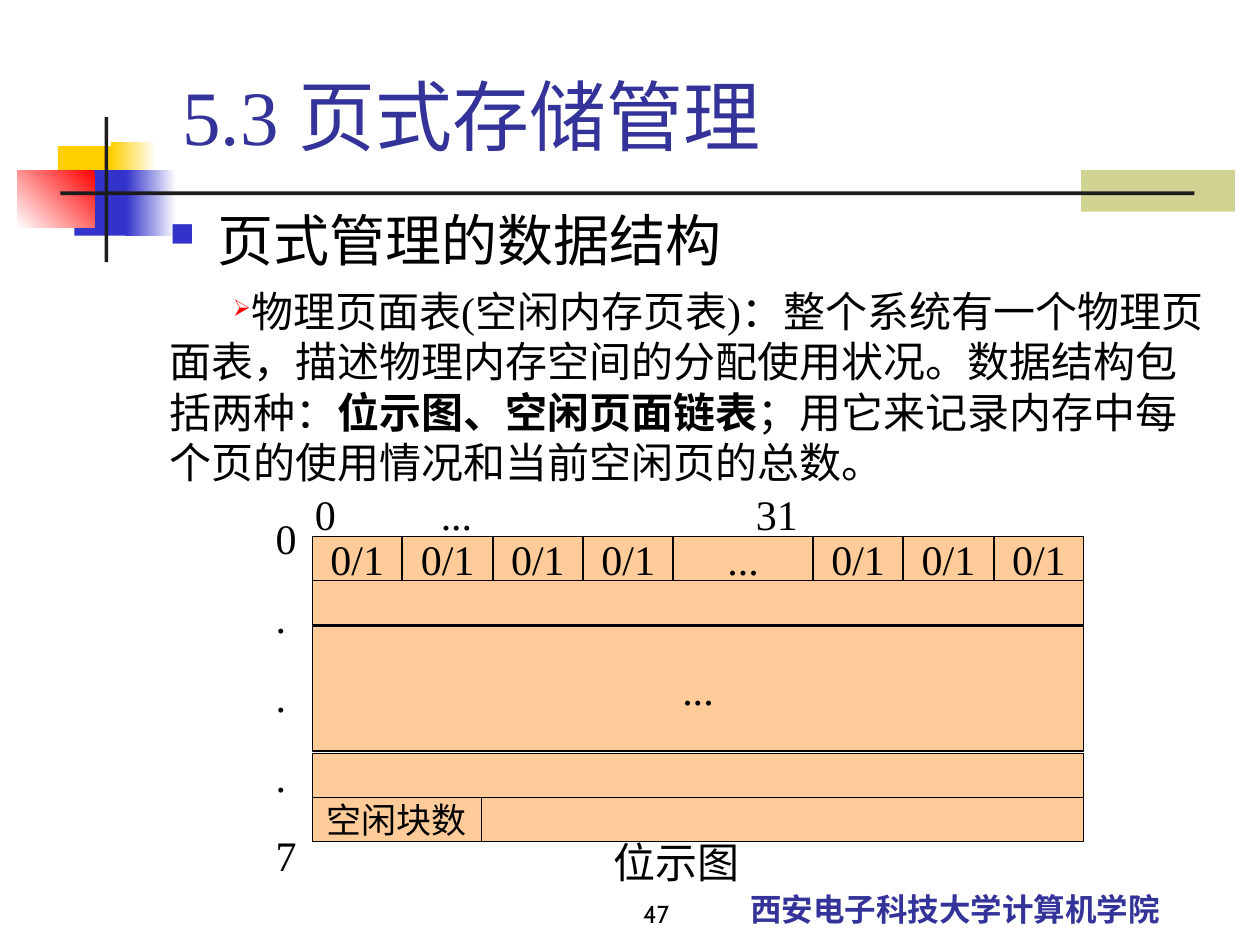
from lxml import etree
from pptx import Presentation
from pptx.dml.color import RGBColor
from pptx.enum.shapes import MSO_SHAPE as Shape
from pptx.enum.text import MSO_ANCHOR as Anchor, PP_ALIGN as Align
from pptx.oxml.ns import qn
from pptx.util import Inches, Pt

SERIF = "Times New Roman"
BLACK, INDIGO, BLUE, RED = "000000", "333399", "3333CC", "FF0000"
YELLOW, WHITE, DARK, OLIVE, PEACH = "FFCF01", "FFFFFF", "1C1C1C", "D1D393", "FFCC99"

MAP_LEFT, MAP_TOP, MAP_WIDTH = 2.48, 4.26, 6.12
ROW_HEIGHT, BIT_WIDTH, ELLIPSIS_WIDTH = 0.35, 0.71, 1.1


def rgb(color):
    return RGBColor.from_string(color)


def style(font, size, color=BLACK, name=SERIF, bold=False):
    font.size, font.name, font.bold = Pt(size), name, bold
    font.color.rgb = rgb(color)


def add_block(slide, left, top, width, height, color):
    block = slide.shapes.add_shape(
        Shape.RECTANGLE, Inches(left), Inches(top), Inches(width), Inches(height))
    block.shadow.inherit = False
    block.fill.solid()
    block.fill.fore_color.rgb = rgb(color)
    block.line.fill.background()
    return block


def add_fading_block(slide, left, top, width, height, start, end, angle):
    block = add_block(slide, left, top, width, height, start)
    block.fill.gradient()
    block.fill.gradient_angle = angle
    for stop, color, position in zip(block.fill.gradient_stops, (start, end), (0, 1)):
        stop.color.rgb = rgb(color)
        stop.position = position


def add_cell(slide, left, top, width, height, text="", size=24):
    cell = add_block(slide, left, top, width, height, PEACH)
    cell.line.color.rgb = rgb(BLACK)
    cell.line.width = Pt(0.75)
    if text:
        frame = cell.text_frame
        frame.text = text
        frame.word_wrap = False
        frame.vertical_anchor = Anchor.MIDDLE
        frame.paragraphs[0].alignment = Align.CENTER
        style(frame.paragraphs[0].runs[0].font, size)


def add_text(slide, left, top, width, height, text, size, color=BLACK, name=SERIF,
             bold=False, align=Align.LEFT, anchor=Anchor.TOP, wrap=True, gap=0):
    box = slide.shapes.add_textbox(
        Inches(left), Inches(top), Inches(width), Inches(height))
    frame = box.text_frame
    frame.text = text
    frame.word_wrap = wrap
    frame.vertical_anchor = anchor
    for index, paragraph in enumerate(frame.paragraphs):
        paragraph.alignment = align
        paragraph.space_before = Pt(gap if index else 0)
        paragraph.space_after = Pt(0.7)
        for run in paragraph.runs:
            style(run.font, size, color, name, bold)
    return frame


def add_tab_stops(paragraph, *positions):
    tabs = etree.SubElement(paragraph._p.get_or_add_pPr(), qn("a:tabLst"))
    for position in positions:
        etree.SubElement(tabs, qn("a:tab"), pos=str(Inches(position)), algn="l")


def add_bullet(paragraph, mark, color, percent, margin, indent):
    properties = paragraph._p.get_or_add_pPr()
    properties.set("marL", str(Inches(margin)))
    properties.set("indent", str(Inches(indent)))
    bullet_color = etree.SubElement(properties, qn("a:buClr"))
    etree.SubElement(bullet_color, qn("a:srgbClr"), val=color)
    etree.SubElement(properties, qn("a:buSzPct"), val=str(percent * 1000))
    etree.SubElement(properties, qn("a:buChar"), char=mark)


def draw_decoration(slide):
    add_block(slide, 8.58, 1.35, 1.22, 0.33, OLIVE)
    add_block(slide, 0.46, 1.16, 0.48, 0.52, YELLOW)
    add_fading_block(slide, 0.88, 1.13, 0.36, 0.52, WHITE, YELLOW, 180)
    add_block(slide, 0.59, 1.35, 0.46, 0.52, BLUE)
    add_fading_block(slide, 1, 1.35, 0.4, 0.52, WHITE, BLUE, 180)
    add_fading_block(slide, 0.14, 1.35, 0.61, 0.46, RED, WHITE, 225)
    add_block(slide, 0.83, 0.93, 0.03, 1.15, DARK)
    add_block(slide, 0.48, 1.52, 9, 0.03, DARK)


def draw_explanation(slide):
    frame = add_text(slide, 1.25, 1.58, 8.5, 2.33, "页式管理的数据结构", 32)
    add_bullet(frame.paragraphs[0], "■", BLUE, 60, 0.38, -0.38)
    detail = frame.add_paragraph()
    detail.level = 1
    detail.space_before, detail.space_after = Pt(6.7), Pt(0.7)
    add_bullet(detail, "➢", RED, 55, 0, 0.5)
    for text, bold in (
        ("物理页面表(空闲内存页表)：整个系统有一个物理页面表，"
         "描述物理内存空间的分配使用状况。数据结构包括两种：", False),
        ("位示图、空闲页面链表", True),
        ("；用它来记录内存中每个页的使用情况和当前空闲页的总数。", False),
    ):
        run = detail.add_run()
        run.text = text
        style(run.font, 24, bold=bold)


def draw_bitmap(slide):
    bits = ["0/1"] * 4 + ["..."] + ["0/1"] * 3
    widths = [ELLIPSIS_WIDTH if bit == "..." else BIT_WIDTH for bit in bits]
    gap = (MAP_WIDTH - sum(widths)) / (len(bits) - 1)
    left = MAP_LEFT
    for bit, width in zip(bits, widths):
        add_cell(slide, left, MAP_TOP, width, ROW_HEIGHT, bit)
        left += width + gap

    for top, height, text in ((4.61, ROW_HEIGHT, ""), (4.97, 0.99, "..."),
                              (5.98, ROW_HEIGHT, ""), (6.33, ROW_HEIGHT, "")):
        add_cell(slide, MAP_LEFT, top, MAP_WIDTH, height, text)
    add_cell(slide, MAP_LEFT, 6.33, 1.34, ROW_HEIGHT, "空闲块数", 20)

    columns = add_text(slide, 2.4, 3.83, 6.67, 0.5, "0\t...\t31", 24)
    add_tab_stops(columns.paragraphs[0], 1, 3.5)
    add_text(slide, 2.09, 4.02, 0.47, 2.99, "0\n.\n.\n.\n7", 24, gap=15.7)
    add_text(slide, 4.77, 6.59, 1.2, 0.5, "位示图", 24, wrap=False)


def main():
    deck = Presentation()
    deck.slide_width, deck.slide_height = Inches(10), Inches(7.5)
    slide = deck.slides.add_slide(deck.slide_layouts[6])
    draw_decoration(slide)
    add_text(slide, 5.33, 6.83, 4.5, 0.58, "西安电子科技大学计算机学院", 18, INDIGO,
             "Noto Sans CJK SC", True, Align.CENTER, Anchor.BOTTOM)
    add_text(slide, 3.33, 6.92, 2.08, 0.5, "47", 14, BLACK, "Cabin",
             align=Align.RIGHT, anchor=Anchor.BOTTOM)
    add_text(slide, 1.35, 0.5, 8.52, 0.83, "5.3 页式存储管理", 44, INDIGO,
             anchor=Anchor.BOTTOM)
    draw_explanation(slide)
    draw_bitmap(slide)
    deck.save("out.pptx")


if __name__ == "__main__":
    main()
